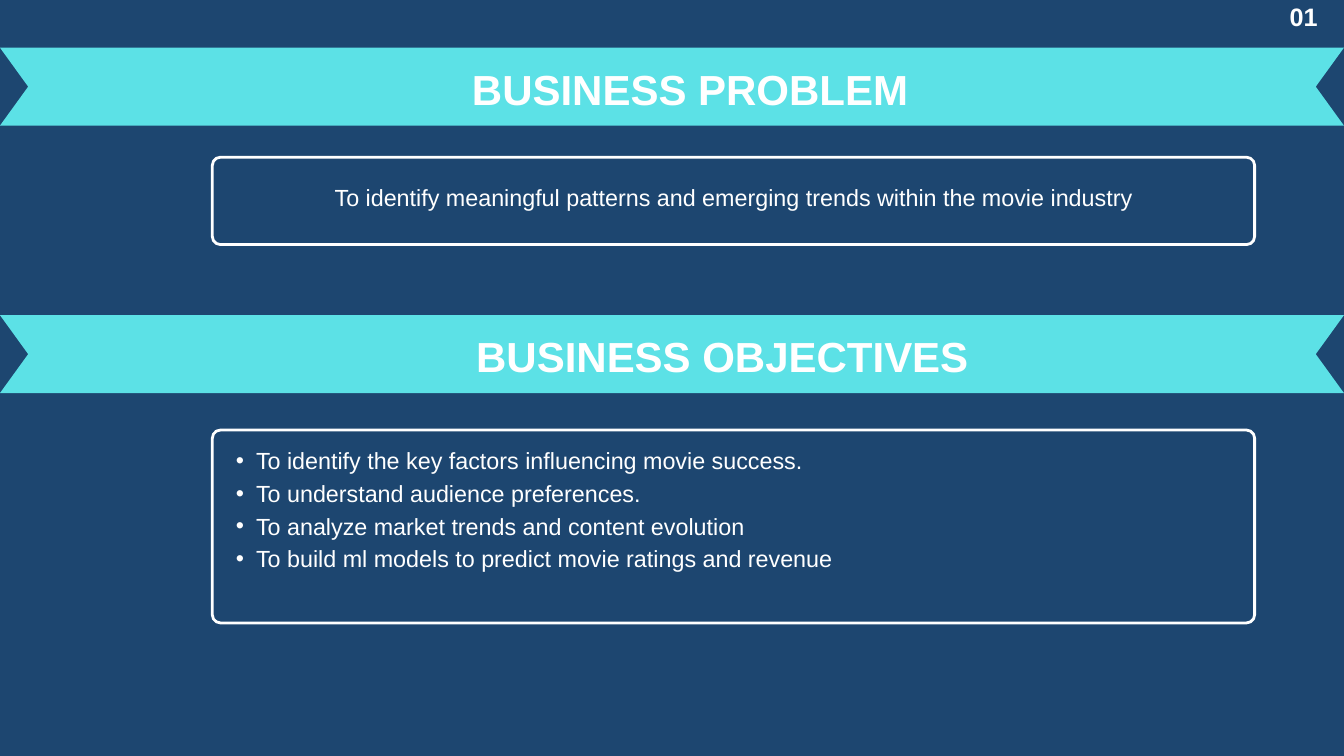
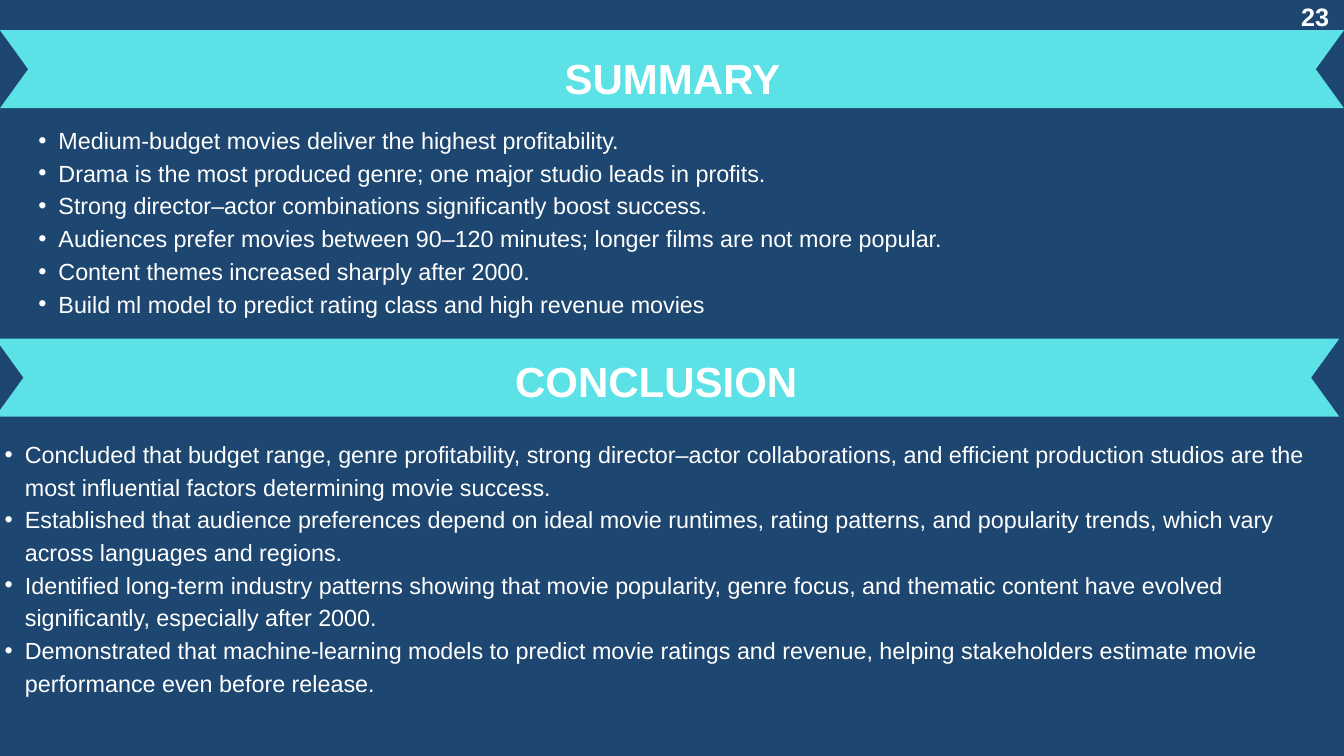
from dataclasses import dataclass
from typing import Optional

from lxml.etree import SubElement
from pptx import Presentation
from pptx.dml.color import RGBColor
from pptx.enum.shapes import MSO_SHAPE as Preset
from pptx.enum.text import MSO_ANCHOR as Anchor, MSO_AUTO_SIZE as AutoSize, PP_ALIGN as Align
from pptx.oxml.ns import qn
from pptx.util import Inches, Pt

# Shared look: a grid of 20 columns, with square cells
COLUMNS, ROWS = 20, 11.25
CELL = Inches(1)
NAVY, AQUA, WHITE = "1D4670", "5CE1E6", "FFFFFF"
FONT = "Arial"
RIBBON_ROWS, NOTCH = 1.16, 0.42
FRAME_RADIUS, FRAME_INSET = 0.12, 0.06
BULLET_MARGIN, BULLET_HANG = 0.59, 0.3
HEADING_ROWS, NUMBER_TOP, NUMBER_ROWS = 0.84, -0.05, 0.5


@dataclass(frozen=True)
class Area:
    col: float
    row: float
    cols: float
    rows: float

    def lengths(self) -> list[int]:
        return [cells(n) for n in (self.col, self.row, self.cols, self.rows)]


@dataclass(frozen=True)
class TextStyle:
    size: float
    leading: float
    bold: bool = False
    align: Align = Align.CENTER
    bullet: bool = False


@dataclass(frozen=True)
class Section:
    heading: str
    heading_area: Area
    ribbon_row: float
    lines: list[str]
    text_area: Area
    style: TextStyle
    frame: Optional[Area] = None
    ribbon_col: float = 0


@dataclass(frozen=True)
class Page:
    number: str
    number_center: float
    sections: list[Section]


HEADING = TextStyle(45, 63, bold=True)
NUMBER = TextStyle(27, 37.8, bold=True)
STATEMENT = TextStyle(25, 35)
BULLETS = TextStyle(25, 35, align=Align.LEFT, bullet=True)


def cells(count: float) -> int:
    return round(count * CELL)


def colour(hex_code: str) -> RGBColor:
    return RGBColor.from_string(hex_code)


def set_bullet(para, shown: bool) -> None:
    props = para._p.get_or_add_pPr()
    props.set("marL", str(cells(BULLET_MARGIN) if shown else 0))
    props.set("indent", str(-cells(BULLET_HANG) if shown else 0))
    if shown:
        SubElement(props, qn("a:buFont"), typeface=FONT)
        SubElement(props, qn("a:buChar"), char="•")
    else:
        SubElement(props, qn("a:buNone"))


def write(box, area: Area, lines: list[str], style: TextStyle,
          anchor: Anchor = Anchor.TOP, inset: float = 0) -> None:
    """Place a text shape in front and fill it with formatted paragraphs."""
    box.left, box.top, box.width, box.height = area.lengths()
    box.element.getparent().append(box.element)
    frame = box.text_frame
    frame.word_wrap, frame.auto_size = True, AutoSize.NONE
    frame.vertical_anchor = anchor
    frame.margin_left = frame.margin_right = cells(inset)
    frame.margin_top = frame.margin_bottom = cells(inset)
    frame.text = "\n".join(lines)
    for para in frame.paragraphs:
        set_bullet(para, style.bullet)
        para.alignment = style.align
        para.line_spacing = Pt(style.leading)
        para.space_before = para.space_after = Pt(0)
        para.font.name, para.font.size = FONT, Pt(style.size)
        para.font.bold = style.bold
        para.font.color.rgb = colour(WHITE)


def add_ribbon(slide, col: float, row: float) -> None:
    right, middle, bottom = col + COLUMNS, row + RIBBON_ROWS / 2, row + RIBBON_ROWS
    corners = [(right, row), (col, row), (col + NOTCH, middle),
               (col, bottom), (right, bottom), (right - NOTCH, middle)]
    start, *rest = [(cells(x), cells(y)) for x, y in corners]
    builder = slide.shapes.build_freeform(*start)
    builder.add_line_segments(rest, close=True)
    ribbon = builder.convert_to_shape()
    ribbon.shadow.inherit = False
    ribbon.fill.solid()
    ribbon.fill.fore_color.rgb = colour(AQUA)
    ribbon.line.fill.background()


def add_frame(slide, area: Area) -> None:
    frame = slide.shapes.add_shape(Preset.ROUNDED_RECTANGLE, *area.lengths())
    frame.adjustments[0] = FRAME_RADIUS / min(area.cols, area.rows)
    frame.shadow.inherit = False
    frame.fill.background()
    frame.line.color.rgb = colour(WHITE)
    frame.line.width = Pt(3)


def add_section(slide, section: Section, heading_box, text_box) -> None:
    add_ribbon(slide, section.ribbon_col, section.ribbon_row)
    write(heading_box, section.heading_area, [section.heading], HEADING)
    if section.frame:
        add_frame(slide, section.frame)
        write(text_box, section.text_area, section.lines, section.style,
              Anchor.MIDDLE, FRAME_INSET)
    else:
        write(text_box, section.text_area, section.lines, section.style)


def add_page(deck, page: Page) -> None:
    slide = deck.slides.add_slide(deck.slide_layouts.get_by_name("Two Content"))
    title, first_body, second_body = slide.placeholders
    # The page number reaches from its centre to the slide's right edge
    half = COLUMNS - page.number_center
    number_area = Area(page.number_center - half, NUMBER_TOP, 2 * half, NUMBER_ROWS)
    number_box = slide.shapes.add_textbox(*number_area.lengths())
    write(number_box, number_area, [page.number], NUMBER)
    second_area = page.sections[1].heading_area
    second_heading = slide.shapes.add_textbox(*second_area.lengths())
    boxes = [(title, first_body), (second_heading, second_body)]
    for section, (heading_box, text_box) in zip(page.sections, boxes):
        add_section(slide, section, heading_box, text_box)


PAGES = [
    # Problem and objectives
    Page("01", 19.4, [
        Section(
            "BUSINESS PROBLEM", Area(2.95, 0.82, 14.64, HEADING_ROWS), 0.71,
            ["To identify meaningful patterns and emerging trends within the movie industry"],
            Area(3.16, 2.15, 15.51, 1.5), STATEMENT, frame=Area(3.16, 2.34, 15.51, 1.3)),
        Section(
            "BUSINESS OBJECTIVES", Area(3.43, 4.8, 14.64, HEADING_ROWS), 4.69,
            ["To identify the key factors influencing movie success.",
             "To understand audience preferences.",
             "To analyze market trends and content evolution",
             "To build ml models to predict movie ratings and revenue"],
            Area(3.16, 6.2, 15.51, 2.69), BULLETS, frame=Area(3.16, 6.4, 15.51, 2.87)),
    ]),
    # Summary and conclusion
    Page("23", 19.57, [
        Section(
            "SUMMARY", Area(3.68, 0.66, 12.65, HEADING_ROWS), 0.45,
            ["Medium-budget movies deliver the highest profitability.",
             "Drama is the most produced genre; one major studio leads in profits.",
             "Strong director–actor combinations significantly boost success.",
             "Audiences prefer movies between 90–120 minutes; longer films are not more popular.",
             "Content themes increased sharply after 2000.",
             "Build ml model to predict rating class and high revenue movies"],
            Area(0.28, 1.81, 19.72, 5.37), BULLETS),
        Section(
            "CONCLUSION", Area(3.44, 5.16, 12.65, HEADING_ROWS), 5.04,
            ["Concluded that budget range, genre profitability, strong director–actor "
             "collaborations, and efficient production studios are the most influential "
             "factors determining movie success.",
             "Established that audience preferences depend on ideal movie runtimes, rating "
             "patterns, and popularity trends, which vary across languages and regions.",
             "Identified long-term industry patterns showing that movie popularity, genre "
             "focus, and thematic content have evolved significantly, especially after 2000.",
             "Demonstrated that machine-learning models to predict movie ratings and revenue, "
             "helping stakeholders estimate movie performance even before release."],
            Area(-0.22, 6.48, 20.15, 4.77), BULLETS, ribbon_col=-0.07),
    ]),
]


def main() -> None:
    deck = Presentation()
    deck.slide_width, deck.slide_height = cells(COLUMNS), cells(ROWS)
    backdrop = deck.slide_master.background.fill
    backdrop.solid()
    backdrop.fore_color.rgb = colour(NAVY)
    for page in PAGES:
        add_page(deck, page)
    deck.save("out.pptx")


if __name__ == "__main__":
    main()
